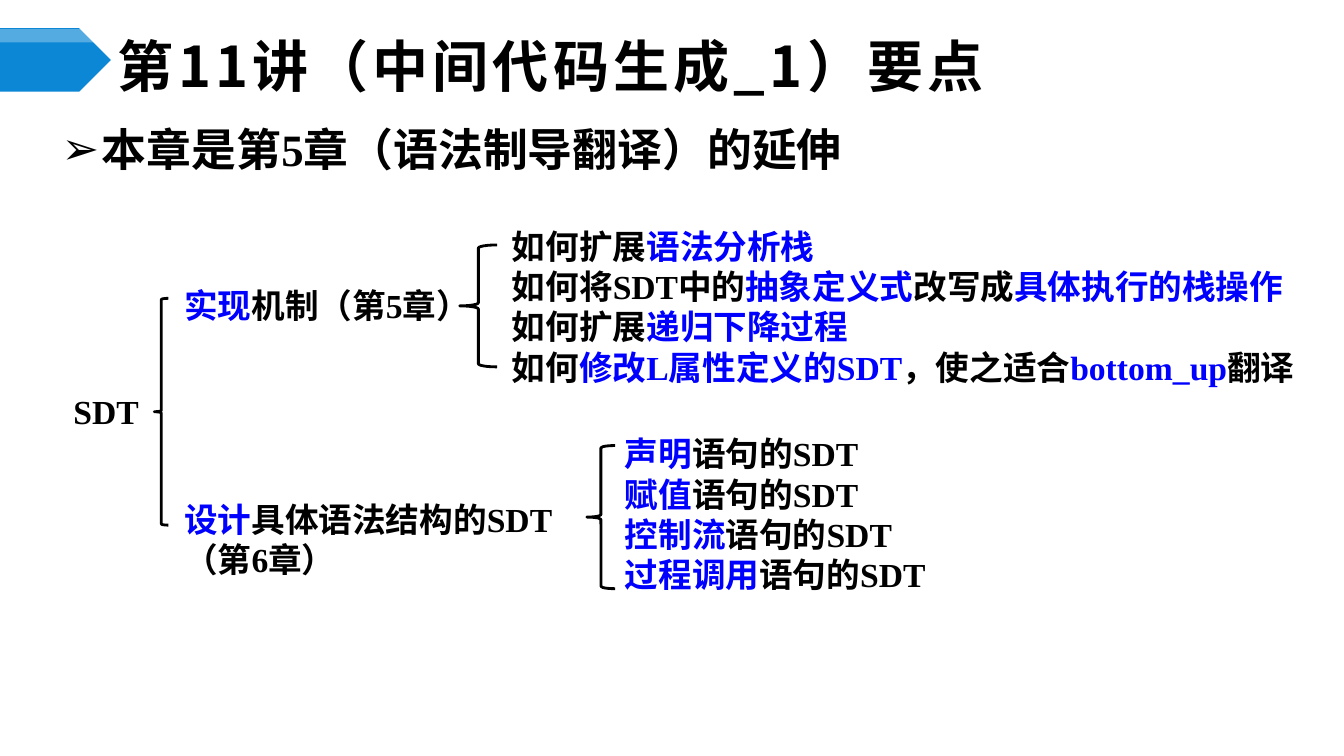
from lxml.etree import SubElement
from pptx import Presentation
from pptx.dml.color import RGBColor
from pptx.enum.shapes import MSO_SHAPE
from pptx.enum.text import MSO_ANCHOR, MSO_AUTO_SIZE, PP_ALIGN
from pptx.oxml.ns import qn
from pptx.util import Pt

# Content: a line is a list of (text, colour) runs; boxes are in px
PX = 9144  # 100 px to the inch
SERIF, SANS = "Times New Roman", "Noto Sans CJK SC"
BLACK, BLUE = "000000", "0000FF"
TITLE = "第11讲（中间代码生成_1）要点"
POINT = "本章是第5章（语法制导翻译）的延伸"

LABELS = [
    ((63, 383, 86, 50), False, [[("SDT", BLACK)]]),
    ((173, 278, 432, 50), True, [[("实现", BLUE), ("机制（第5章）", BLACK)]]),
    ((173, 490, 432, 91), True, [
        [("设计", BLUE), ("具体语法结构的SDT", BLACK)],
        [("（第6章）", BLACK)],
    ]),
    ((498, 219, 843, 172), True, [
        [("如何扩展", BLACK), ("语法分析栈", BLUE)],
        [("如何将SDT中的", BLACK), ("抽象定义式", BLUE),
         ("改写成", BLACK), ("具体执行的栈操作", BLUE)],
        [("如何扩展", BLACK), ("递归下降过程", BLUE)],
        [("如何", BLACK), ("修改L属性定义的SDT", BLUE), ("，使之适合", BLACK),
         ("bottom_up", BLUE), ("翻译", BLACK)],
    ]),
    ((610, 425, 630, 172), True, [
        [(kind, BLUE), ("语句的SDT", BLACK)]
        for kind in ("声明", "赋值", "控制流", "过程调用")
    ]),
]
BRACES = [(153, 296, 14, 225), (456, 243, 37, 121), (582, 442, 28, 142)]
BANNER = [((0, 28, 110, 63), "0B87D6", None), ((0, 29, 110, 13), "FFFFFF", 30)]


def color(code):
    return RGBColor.from_string(code)


def emu(box):
    return [n * PX for n in box]


def place(shape, box):
    names = ("left", "top", "width", "height")
    for name, n in zip(names, emu(box)):
        setattr(shape, name, n)


def style(obj, **values):
    for name, value in values.items():
        setattr(obj, name, value)


def add_run(para, text, code, size, face):
    run = para.add_run()
    run.text = text
    style(run.font, size=Pt(size), bold=True, name=face)
    run.font.color.rgb = color(code)
    props = run.font._element
    SubElement(props, qn("a:ea")).set("typeface", SANS)
    return props


def add_shape(kind, box):
    shape = slide.shapes.add_shape(kind, *emu(box))
    shape.shadow.inherit = False
    return shape


deck = Presentation()
style(deck, slide_width=1333 * PX, slide_height=750 * PX)
slide = deck.slides.add_slide(deck.slide_layouts[1])
title, body = slide.placeholders
INSET = dict(margin_left=7 * PX, margin_right=7 * PX, margin_top=4 * PX,
             margin_bottom=4 * PX, auto_size=MSO_AUTO_SIZE.NONE, word_wrap=True)

# Banner arrow
for box, code, alpha in BANNER:
    plate = add_shape(MSO_SHAPE.PENTAGON, box)
    plate.fill.solid()
    plate.fill.fore_color.rgb = color(code)
    plate.line.fill.background()
    if alpha:
        tint = plate._element.spPr.find(qn("a:solidFill"))[0]
        SubElement(tint, qn("a:alpha")).set("val", str(alpha * 1000))

# Title
place(title, (110, 39, 1156, 52))
style(title.text_frame, vertical_anchor=MSO_ANCHOR.MIDDLE, **INSET)
para = title.text_frame.paragraphs[0]
para.alignment = PP_ALIGN.LEFT
add_run(para, TITLE, BLACK, 40, SANS).set("spc", "300")

# Main point
place(body, (10, 115, 1271, 470))
style(body.text_frame, vertical_anchor=MSO_ANCHOR.TOP, **INSET)
para = body.text_frame.paragraphs[0]
style(para, level=1, line_spacing=Pt(40), space_before=Pt(0))
props = para._p.get_or_add_pPr()
props.set("marL", str(84 * PX))
props.set("indent", str(-40 * PX))
tint = SubElement(props, qn("a:buClr"))
SubElement(tint, qn("a:srgbClr")).set("val", BLACK)
SubElement(props, qn("a:buChar")).set("char", "➢")
add_run(para, POINT, BLACK, 32, SERIF)

# Tree braces
for box in BRACES:
    brace = add_shape(MSO_SHAPE.LEFT_BRACE, box)
    brace.fill.background()
    brace.line.color.rgb = color(BLACK)
    brace.line.width = Pt(2)

# Tree labels
for box, wrap, lines in LABELS:
    frame = slide.shapes.add_textbox(*emu(box)).text_frame
    style(frame, word_wrap=wrap, auto_size=MSO_AUTO_SIZE.SHAPE_TO_FIT_TEXT)
    for i, line in enumerate(lines):
        para = frame.add_paragraph() if i else frame.paragraphs[0]
        for text, code in line:
            add_run(para, text, code, 24, SERIF)

deck.save("out.pptx")
